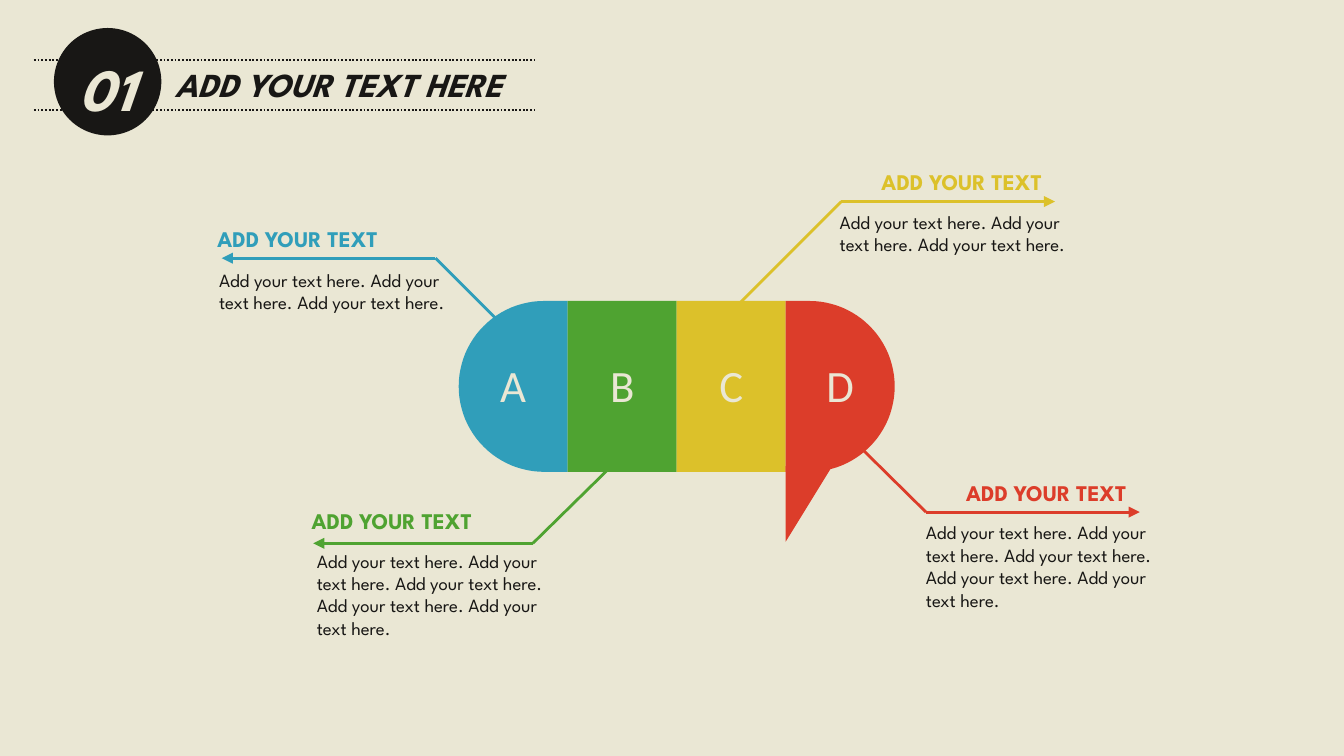
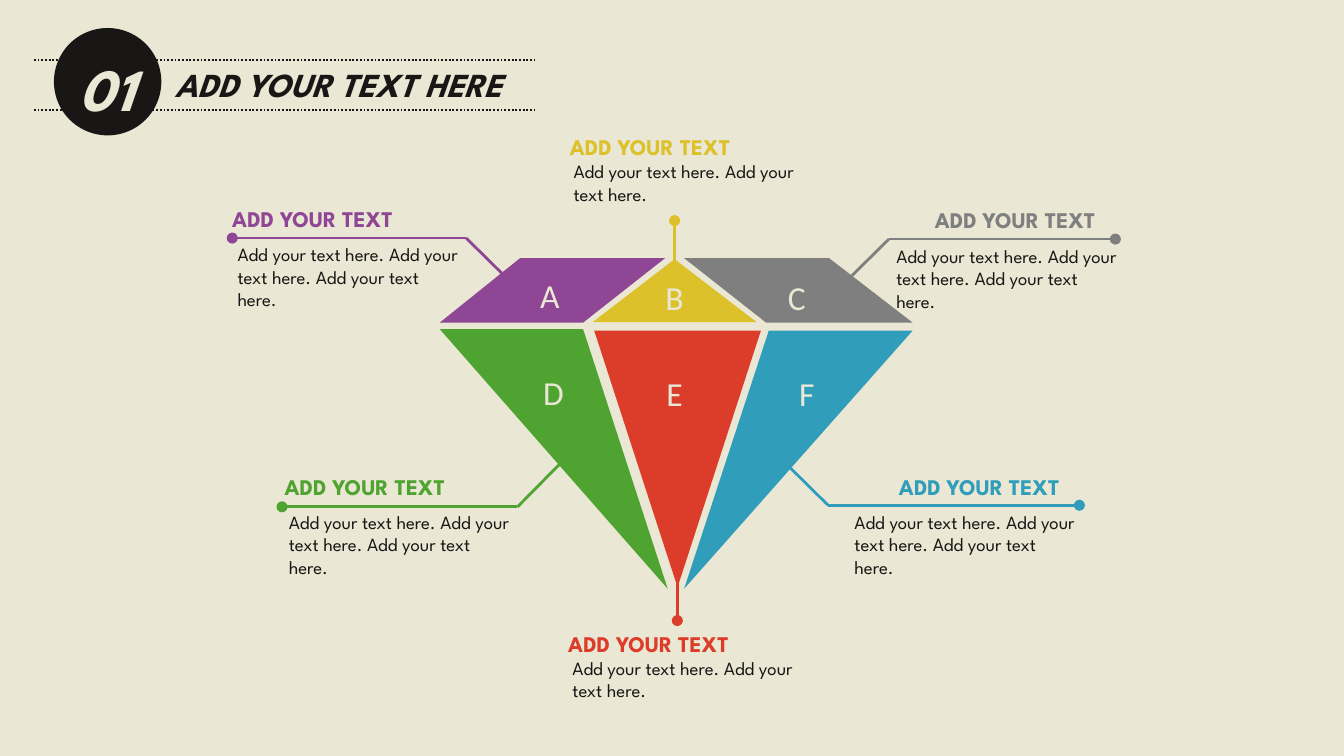
"""Build two infographic slides: a four-part speech capsule and a six-facet gem."""
from itertools import pairwise
from math import cos, pi, sin

from lxml import etree
from pptx import Presentation
from pptx.dml.color import RGBColor
from pptx.enum.dml import MSO_LINE
from pptx.enum.shapes import MSO_CONNECTOR, MSO_SHAPE
from pptx.enum.text import MSO_ANCHOR, MSO_AUTO_SIZE, PP_ALIGN
from pptx.oxml.ns import qn
from pptx.util import Cm, Pt

STRAIGHT = MSO_CONNECTOR.STRAIGHT
OVAL, RECTANGLE = MSO_SHAPE.OVAL, MSO_SHAPE.RECTANGLE
TRIANGLE = MSO_SHAPE.ISOSCELES_TRIANGLE
DOTTED = MSO_LINE.ROUND_DOT
LEFT, CENTER = PP_ALIGN.LEFT, PP_ALIGN.CENTER
TOP = MSO_ANCHOR.TOP
GROW = MSO_AUTO_SIZE.SHAPE_TO_FIT_TEXT

CREAM = RGBColor(0xEA, 0xE7, 0xD4)
INK = RGBColor(0x18, 0x17, 0x15)
BLUE = RGBColor(0x30, 0x9E, 0xBA)
GREEN = RGBColor(0x4F, 0xA3, 0x31)
YELLOW = RGBColor(0xDC, 0xC1, 0x2A)
RED = RGBColor(0xDC, 0x3D, 0x2A)
PURPLE = RGBColor(0x8F, 0x46, 0x95)
GREY = RGBColor(0x7F, 0x7F, 0x7F)

DISPLAY, LETTERING = "League Spartan", "Calibri"
TITLE, NUMBER = "ADD YOUR TEXT HERE", "01"
HEADING, SENTENCE = "ADD YOUR TEXT", "Add your text here."
BODY_HEIGHTS = {2: 1.12, 3: 1.52, 5: 1.96}

# colour, leader from tip to anchor, heading corner, body corner, body width, sentences
CAPSULE_CALLOUTS = [
    (BLUE, [(4.19, 4.88), (8.23, 4.88), (9.7, 6.35)], (3.86, 4.14), (3.89, 4.95), 5.11, 3),
    (GREEN, [(5.92, 10.27), (10.07, 10.27), (11.76, 8.61)], (5.64, 9.47), (5.74, 10.26), 5, 5),
    (YELLOW, [(19.94, 3.81), (15.9, 3.81), (13.69, 6.02)], (16.41, 3.05), (15.62, 3.86), 5.08, 3),
    (RED, [(21.54, 9.68), (17.5, 9.68), (16, 8.2)], (18.01, 8.94), (17.25, 9.73), 5.26, 5),
]
GEM_BODY = 4.67
GEM_CALLOUTS = [
    (PURPLE, [(4.39, 4.5), (8.81, 4.5), (9.63, 5.31)], (4.14, 3.76), (4.24, 4.47), GEM_BODY, 3),
    (YELLOW, [(12.75, 4.17), (12.75, 5.44)], (10.52, 2.39), (10.59, 2.9), GEM_BODY, 2),
    (GREY, [(21.08, 4.52), (16.8, 4.52), (16, 5.31)], (17.42, 3.78), (16.69, 4.5), GEM_BODY, 3),
    (GREEN, [(5.33, 9.58), (9.78, 9.58), (10.59, 8.76)], (5.13, 8.81), (5.21, 9.53), GEM_BODY, 3),
    (RED, [(12.8, 11.73), (12.8, 10.46)], (10.49, 11.79), (10.57, 12.29), GEM_BODY, 2),
    (BLUE, [(20.4, 9.55), (15.65, 9.55), (14.83, 8.74)], (16.74, 8.81), (15.9, 9.53), GEM_BODY, 3),
]

SEGMENTS = [("A", BLUE), ("B", GREEN), ("C", YELLOW), ("D", RED)]
CAPSULE_LEFT, CAPSULE_TOP, SEGMENT_WIDTH, CAPSULE_HEIGHT = 8.67, 5.69, 2.06, 3.23
TAIL = [(14.85, 8.81), (15.73, 8.81), (14.85, 10.24)]

FACETS = [
    (PURPLE, [(9.83, 4.88), (12.57, 4.88), (11.02, 6.1), (8.31, 6.1)]),
    (GREY, [(15.67, 4.88), (12.93, 4.88), (14.48, 6.1), (17.25, 6.1)]),
    (GREEN, [(8.31, 6.22), (11.02, 6.22), (12.62, 11.13)]),
    (BLUE, [(17.25, 6.25), (14.53, 6.25), (12.93, 11.13)]),
]
CENTRE_FACETS = [
    (YELLOW, (11.2, 4.9, 3.1, 1.19), 0),
    (RED, (11.23, 6.25, 3.15, 4.85), 180),
]
FACET_LETTERS = [
    ("A", 10.39, 5.08), ("B", 12.75, 5.11), ("C", 15.06, 5.11),
    ("D", 10.46, 6.91), ("E", 12.75, 6.93), ("F", 15.25, 6.93),
]


def paint(shape, colour):
    shape.shadow.inherit = False
    shape.fill.solid()
    shape.fill.fore_color.rgb = colour
    shape.line.fill.background()


def add_block(slide, kind, box, colour):
    block = slide.shapes.add_shape(kind, *map(Cm, box))
    paint(block, colour)
    return block


def add_outline(slide, points, colour):
    start, *rest = [(Cm(x), Cm(y)) for x, y in points]
    builder = slide.shapes.build_freeform(*start)
    builder.add_line_segments(rest, close=True)
    paint(builder.convert_to_shape(), colour)


def add_line(slide, start, end, colour, width, head=None):
    line = slide.shapes.add_connector(STRAIGHT, *map(Cm, (*start, *end)))
    line.line.color.rgb = colour
    line.line.width = Pt(width)
    if head:
        etree.SubElement(line.line._get_or_add_ln(), qn("a:headEnd"), type=head)
    etree.SubElement(line._element.spPr, qn("a:effectLst"))
    return line


def write(frame, text, size, colour, font=DISPLAY, bold=False, italic=False,
          align=LEFT, wrap=False):
    frame.text = text
    frame.word_wrap = wrap
    frame.auto_size = GROW
    frame.vertical_anchor = TOP
    paragraph = frame.paragraphs[0]
    paragraph.alignment = align
    paragraph.font.name = font
    paragraph.font.size = Pt(size)
    paragraph.font.bold = bold
    paragraph.font.italic = italic
    paragraph.font.color.rgb = colour


def add_text(slide, box, text, size, colour, **style):
    write(slide.shapes.add_textbox(*map(Cm, box)).text_frame, text, size, colour, **style)


def add_letter(slide, letter, centre, top, size, width, height):
    add_text(slide, (centre - width / 2, top, width, height), letter, size, CREAM,
             font=LETTERING, align=CENTER)


def add_callouts(slide, callouts, tip):
    for colour, leader, heading, body, width, count in callouts:
        for index, (start, end) in enumerate(pairwise(leader)):
            add_line(slide, start, end, colour, 1.5, None if index else tip)
        add_text(slide, (*heading, 3.86, 0.76), HEADING, 12, colour, bold=True)
        add_text(slide, (*body, width, BODY_HEIGHTS[count]), " ".join([SENTENCE] * count),
                 10, INK, wrap=True)


def add_titled_slide(deck):
    slide = deck.slides.add_slide(deck.slide_layouts[5])
    for y in (1.14, 2.08):
        add_line(slide, (0.64, y), (10.11, y), INK, 1).line.dash_style = DOTTED
    add_block(slide, OVAL, (1.02, 0.53, 2.03, 2.03), INK)
    title = slide.shapes.title
    title.left, title.top, title.width, title.height = map(Cm, (3.05, 1.09, 6.83, 1.02))
    write(title.text_frame, TITLE, 18, INK, bold=True, italic=True)
    add_text(slide, (1.24, 0.86, 1.75, 1.63), NUMBER, 32, CREAM, bold=True, italic=True)
    return slide


def capsule_end(flat_x, direction):
    radius = CAPSULE_HEIGHT / 2
    middle = CAPSULE_TOP + radius
    centre = flat_x + direction * (SEGMENT_WIDTH - radius)
    angles = [pi * (step / 48 - 0.5) for step in range(49)]
    arc = [(centre + direction * radius * cos(a), middle + radius * sin(a)) for a in angles]
    return [(flat_x, CAPSULE_TOP), *arc, (flat_x, CAPSULE_TOP + CAPSULE_HEIGHT)]


def build_capsule(deck):
    slide = add_titled_slide(deck)
    last = len(SEGMENTS) - 1
    for index, (letter, colour) in enumerate(SEGMENTS):
        left = CAPSULE_LEFT + index * SEGMENT_WIDTH
        if index == 0:
            add_outline(slide, capsule_end(left + SEGMENT_WIDTH, -1), colour)
        elif index == last:
            add_outline(slide, capsule_end(left, 1), colour)
            add_outline(slide, TAIL, colour)
        else:
            add_block(slide, RECTANGLE, (left, CAPSULE_TOP, SEGMENT_WIDTH, CAPSULE_HEIGHT), colour)
        add_letter(slide, letter, left + SEGMENT_WIDTH / 2, 6.63, 24, 1.04, 1.27)
    add_callouts(slide, CAPSULE_CALLOUTS, "triangle")


def build_gem(deck):
    slide = add_titled_slide(deck)
    for colour, box, turn in CENTRE_FACETS:
        add_block(slide, TRIANGLE, box, colour).rotation = turn
    for colour, points in FACETS:
        add_outline(slide, points, colour)
    add_callouts(slide, GEM_CALLOUTS, "oval")
    for letter, centre, top in FACET_LETTERS:
        add_letter(slide, letter, centre, top, 18, 0.91, 1.02)


def main():
    deck = Presentation()
    deck.slide_width, deck.slide_height = Cm(25.4), Cm(14.29)
    backdrop = deck.slide_master.background.fill
    backdrop.solid()
    backdrop.fore_color.rgb = CREAM
    build_capsule(deck)
    build_gem(deck)
    deck.save("out.pptx")


if __name__ == "__main__":
    main()
